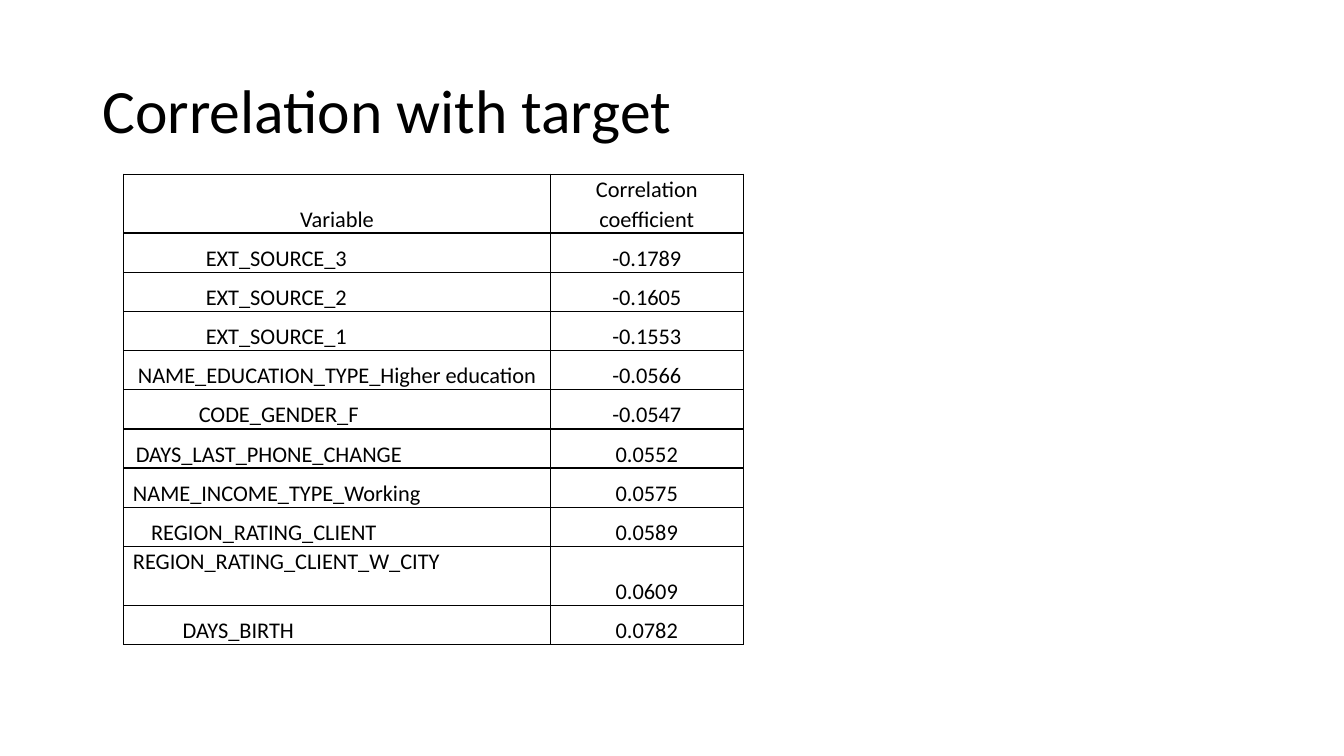
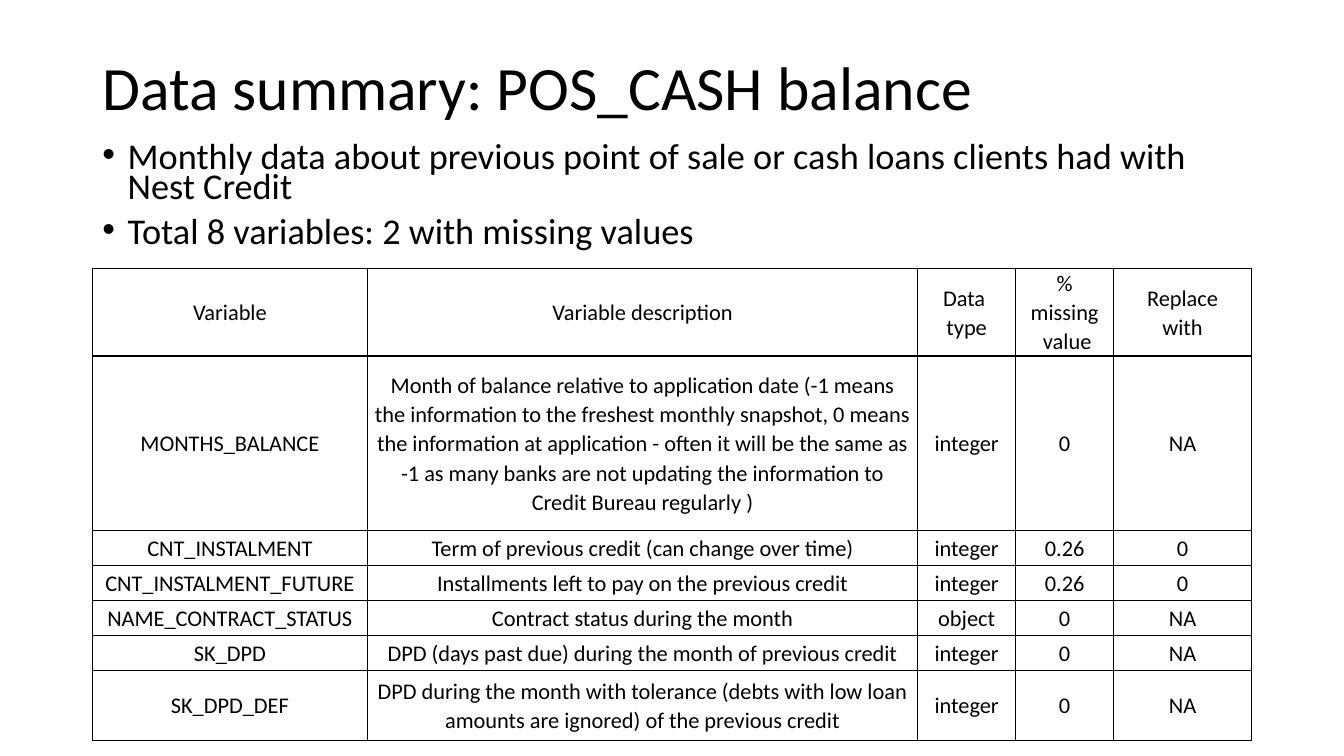
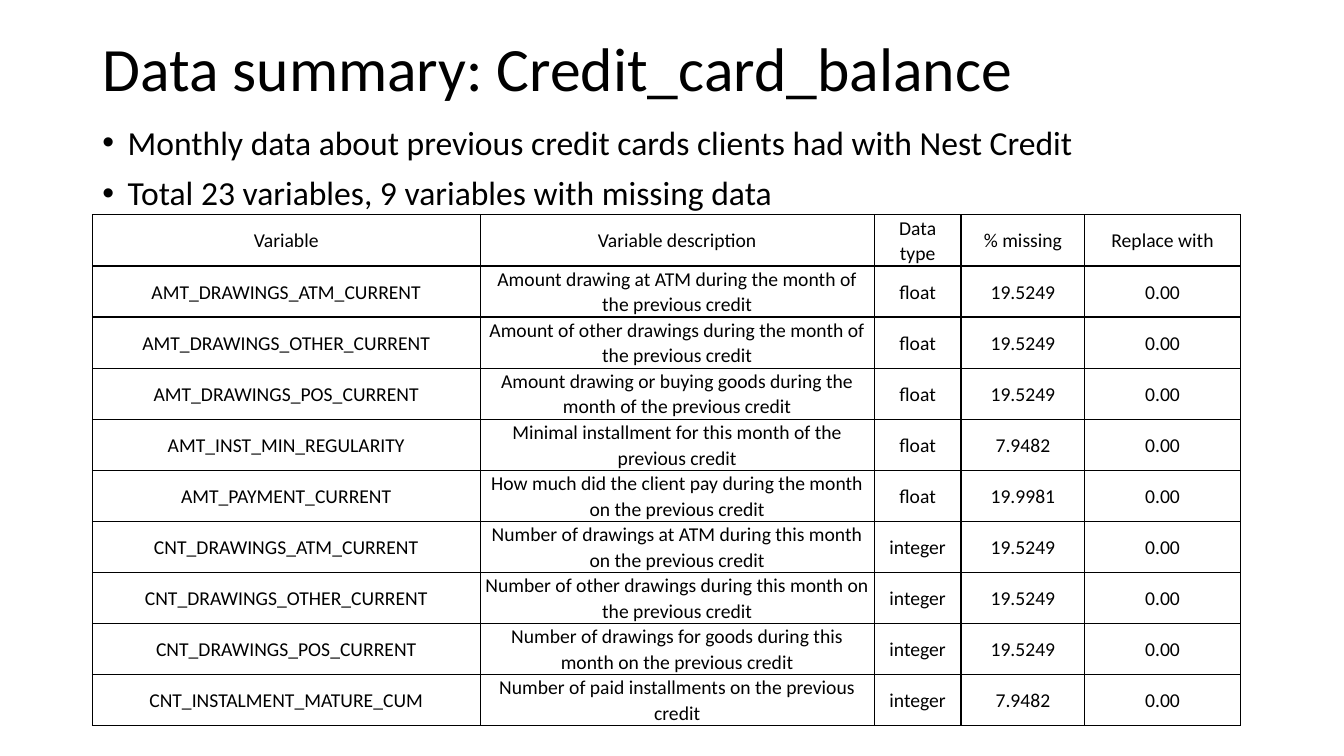
from dataclasses import dataclass

from pptx import Presentation
from pptx.dml.color import RGBColor
from pptx.enum import text
from pptx.oxml import parse_xml
from pptx.oxml.ns import nsdecls
from pptx.util import Pt


@dataclass(frozen=True)
class Theme:
    font: str = "Calibri"
    ink: str = "000000"
    head: float = 44
    left: float = 66
    width: float = 828
    rule: float = 1
    lead: float = 1.07


theme = Theme()
mid = text.MSO_ANCHOR.MIDDLE
low = text.MSO_ANCHOR.BOTTOM

ranks = [
    ("Variable", "Correlation coefficient"),
    ("EXT_SOURCE_3", "-0.1789"),
    ("EXT_SOURCE_2", "-0.1605"),
    ("EXT_SOURCE_1", "-0.1553"),
    ("NAME_EDUCATION_TYPE_Higher education", "-0.0566"),
    ("CODE_GENDER_F", "-0.0547"),
    ("DAYS_LAST_PHONE_CHANGE", "0.0552"),
    ("NAME_INCOME_TYPE_Working", "0.0575"),
    ("REGION_RATING_CLIENT", "0.0589"),
    ("REGION_RATING_CLIENT_W_CITY", "0.0609"),
    ("DAYS_BIRTH", "0.0782"),
]
# Left margin of each name that is not centred, by row
shifts = {1: 58.5, 2: 58.5, 3: 58.5, 5: 53.5, 6: 8.5, 7: 6.5, 8: 19.5, 9: 6.5, 10: 42}

cash = [
    ("Variable", "Variable description", "Data \ntype", "% missing\n value", "Replace\nwith"),
    ("MONTHS_BALANCE",
     "Month of balance relative to application date (-1 means the information to the "
     "freshest monthly snapshot, 0 means the information at application - often it will "
     "be the same as -1 as many banks are not updating the information to Credit Bureau "
     "regularly )", "integer", "0", "NA"),
    ("CNT_INSTALMENT", "Term of previous credit (can change over time)", "integer", "0.26", "0"),
    ("CNT_INSTALMENT_FUTURE", "Installments left to pay on the previous credit",
     "integer", "0.26", "0"),
    ("NAME_CONTRACT_STATUS", "Contract status during the month", "object", "0", "NA"),
    ("SK_DPD", "DPD (days past due) during the month of previous credit", "integer", "0", "NA"),
    ("SK_DPD_DEF",
     "DPD during the month with tolerance (debts with low loan amounts are ignored) of the "
     "previous credit", "integer", "0", "NA"),
]

fields = [
    ("AMT_DRAWINGS_ATM_CURRENT",
     "Amount drawing at ATM during the month of the previous credit", "float", "19.5249"),
    ("AMT_DRAWINGS_OTHER_CURRENT",
     "Amount of other drawings during the month of the previous credit", "float", "19.5249"),
    ("AMT_DRAWINGS_POS_CURRENT",
     "Amount drawing or buying goods during the month of the previous credit",
     "float", "19.5249"),
    ("AMT_INST_MIN_REGULARITY",
     "Minimal installment for this month of the previous credit", "float", "7.9482"),
    ("AMT_PAYMENT_CURRENT",
     "How much did the client pay during the month on the previous credit",
     "float", "19.9981"),
    ("CNT_DRAWINGS_ATM_CURRENT",
     "Number of drawings at ATM during this month on the previous credit",
     "integer", "19.5249"),
    ("CNT_DRAWINGS_OTHER_CURRENT",
     "Number of other drawings during this month on the previous credit",
     "integer", "19.5249"),
    ("CNT_DRAWINGS_POS_CURRENT",
     "Number of drawings for goods during this month on the previous credit",
     "integer", "19.5249"),
    ("CNT_INSTALMENT_MATURE_CUM",
     "Number of paid installments on the previous credit", "integer", "7.9482"),
]
cards = [("Variable", "Variable description", "Data\ntype", "% missing", "Replace with")]
cards += [(*field, "0.00") for field in fields]

pages = [
    dict(title="Correlation with target", top=29, tall=104.5, points=[],
         rows=ranks, x=88.5, y=124.5, cols=[304.5, 138], highs=[42] + [28] * 8 + [42, 28],
         size=16, pad=5, anchor=low, shifts=shifts),
    dict(title="Data summary: POS_CASH balance", top=29, tall=71,
         points=["Monthly data about previous point of sale or cash loans clients had with "
                 "Nest Credit", "Total 8 variables: 2 with missing values"],
         body=(100, 85), type=25.9, lead=0.7,
         rows=cash, x=theme.left, y=191.5, cols=[196.5, 393, 70, 70, 98.5],
         highs=[62.5, 124.5] + [25] * 4 + [50], size=16, pad=5, anchor=mid, shifts={}),
    dict(title="Data summary: Credit_card_balance", top=16, tall=70.5,
         points=["Monthly data about previous credit cards clients had with Nest Credit",
                 "Total 23 variables, 9 variables with missing data"],
         body=(86.5, 65.5), type=24, lead=0.9,
         rows=cards, x=theme.left, y=153.5, cols=[277, 281.5, 62, 88.5, 111],
         highs=[36.4] * 10, size=14, pad=3, anchor=mid, shifts={}),
]


def fill(shape, lines, top, tall, size, lead):
    """Place a title or body across the page and write its lines."""
    shape.left, shape.top = Pt(theme.left), Pt(top)
    shape.width, shape.height = Pt(theme.width), Pt(tall)
    frame = shape.text_frame
    frame.text = "\n".join(lines)
    frame.auto_size = text.MSO_AUTO_SIZE.NONE
    for para in frame.paragraphs:
        para.alignment = text.PP_ALIGN.LEFT
        style(para, size, lead)


def style(para, size, lead):
    para.line_spacing = lead
    para.font.name = theme.font
    para.font.size = Pt(size)
    para.font.color.rgb = RGBColor.from_string(theme.ink)


deck = Presentation()
deck.slide_width, deck.slide_height = Pt(960), Pt(540)

for page in pages:
    slide = deck.slides.add_slide(deck.slide_layouts[1 if page["points"] else 5])
    fill(slide.shapes.title, [page["title"]], page["top"], page["tall"], theme.head, 0.9)
    slide.shapes.title.text_frame.vertical_anchor = mid

    if page["points"]:
        body = slide.placeholders[1]
        fill(body, page["points"], *page["body"], page["type"], page["lead"])
        for para in body.text_frame.paragraphs:
            para.space_before = Pt(10)
            props = para._p.get_or_add_pPr()
            props.set("marL", str(Pt(18)))
            props.set("indent", str(Pt(-18)))

    rows, cols, highs = page["rows"], page["cols"], page["highs"]
    grid = slide.shapes.add_table(len(rows), len(cols), Pt(page["x"]), Pt(page["y"]),
                                  Pt(sum(cols)), Pt(sum(highs))).table
    grid.first_row = grid.horz_banding = False
    for col, wide in zip(grid.columns, cols):
        col.width = Pt(wide)
    for r, (row, high) in enumerate(zip(rows, highs)):
        grid.rows[r].height = Pt(high)
        for c, words in enumerate(row):
            cell = grid.cell(r, c)
            cell.text = words
            cell.vertical_anchor = page["anchor"]
            cell.margin_left = cell.margin_right = Pt(page["pad"])
            cell.margin_top = cell.margin_bottom = 0
            for para in cell.text_frame.paragraphs:
                para.alignment = text.PP_ALIGN.CENTER
                style(para, page["size"], theme.lead)
            if c == 0 and r in page["shifts"]:
                cell.margin_left = Pt(page["shifts"][r])
                cell.text_frame.paragraphs[0].alignment = text.PP_ALIGN.LEFT
            props = cell._tc.get_or_add_tcPr()
            for side in "LRTB":
                props.append(parse_xml(
                    f'<a:ln{side} {nsdecls("a")} w="{Pt(theme.rule)}"><a:solidFill>'
                    f'<a:srgbClr val="{theme.ink}"/></a:solidFill></a:ln{side}>'))
            cell.fill.background()
    if page["shifts"]:
        grid.cell(9, 0).vertical_anchor = text.MSO_ANCHOR.TOP

deck.save("out.pptx")
